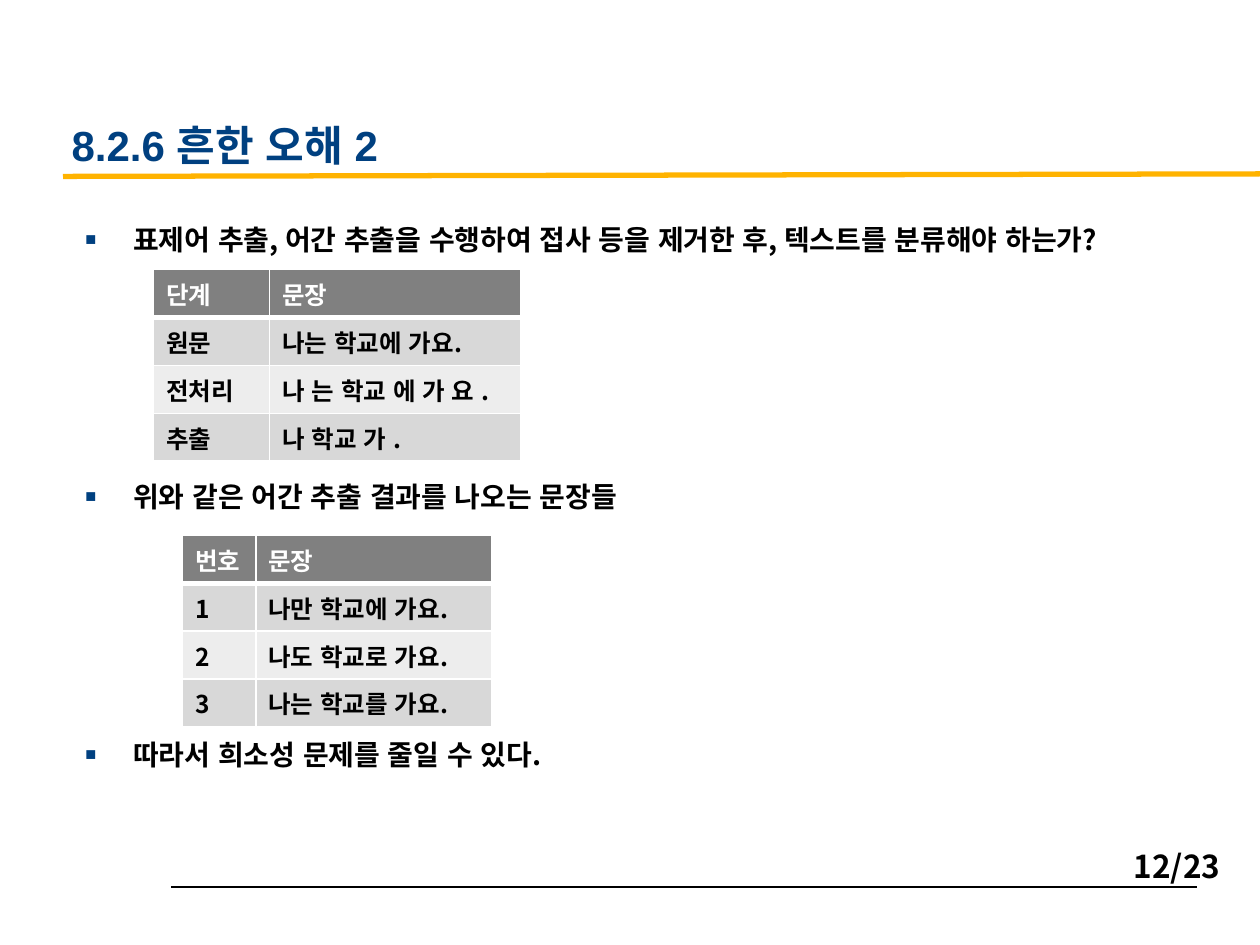
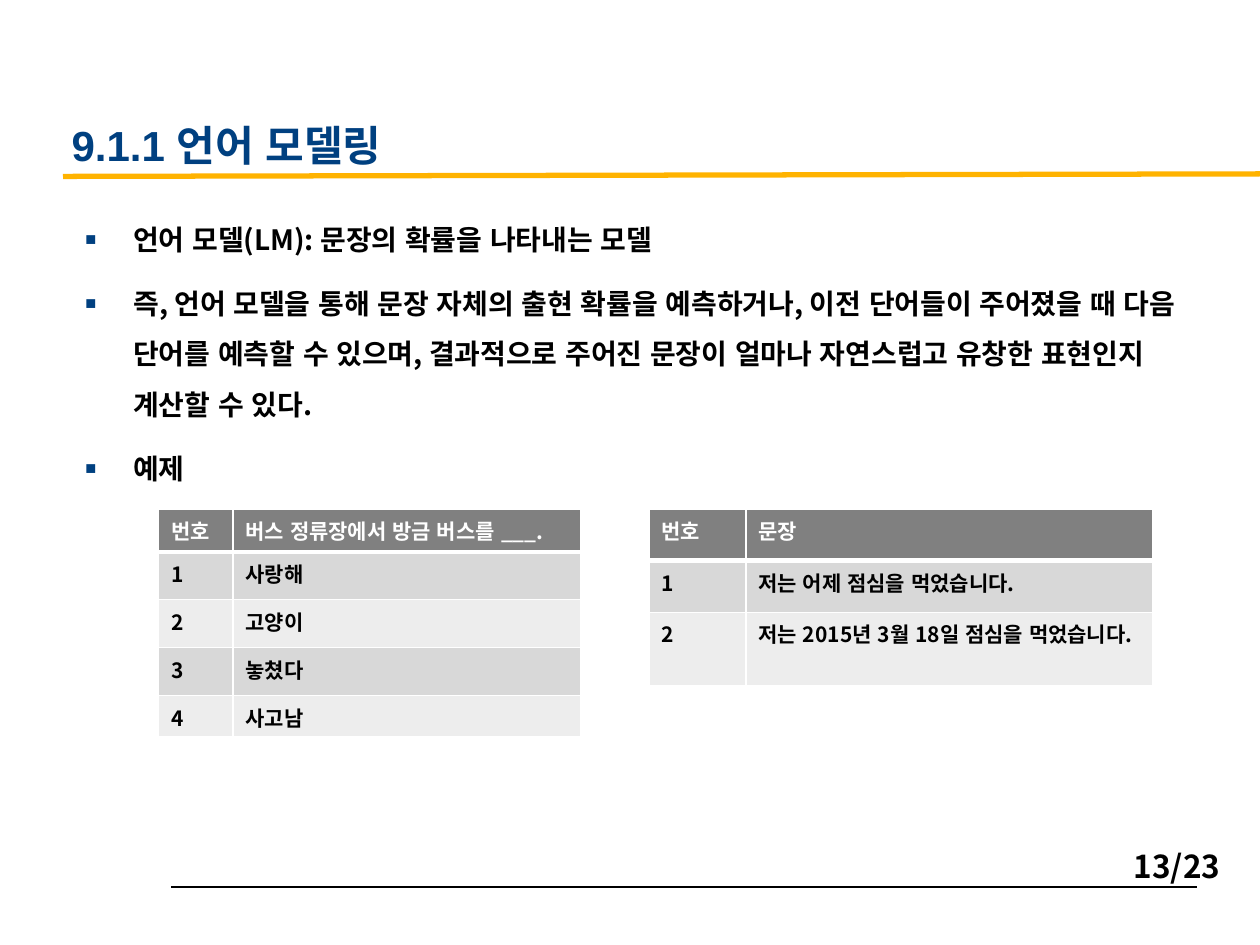
from dataclasses import dataclass

from lxml import etree
from pptx import Presentation
from pptx import util as u
from pptx.dml.color import RGBColor
from pptx.enum import lang, shapes, text
from pptx.oxml import ns

HUES = {
    "navy": "004080", "gold": "FFB300", "black": "000000", "white": "FFFFFF",
    "head": "808080", "dark": "D8D8D8", "light": "EDEDED",
}
SANS = "Noto Sans CJK KR"
TOTAL = 23


@dataclass
class Rule:
    start: tuple[float, float]
    end: tuple[float, float]
    hue: str
    width: float


@dataclass
class Grid:
    left: float
    top: float
    size: int
    cols: list[float]
    rows: list[float]
    cells: list[tuple[str, str]]


@dataclass
class Page:
    number: int
    title: str
    gap: float
    points: list[str]
    grids: list[Grid]


RULES = [
    Rule((1.36, 7.04), (9.5, 7.04), "black", 0.75),
    Rule((0.5, 1.4), (10, 1.38), "gold", 3),
]

PAGES = [
    Page(12, "8.2.6 흔한 오해 2", 118.5, [
        "표제어 추출, 어간 추출을 수행하여 접사 등을 제거한 후, 텍스트를 분류해야 하는가?",
        "위와 같은 어간 추출 결과를 나오는 문장들",
        "따라서 희소성 문제를 줄일 수 있다.",
    ], [
        Grid(1.22, 2.14, 14, [0.92, 1.99], [0.38] * 4, [
            ("단계", "문장"),
            ("원문", "나는 학교에 가요."),
            ("전처리", "나 는 학교 에 가 요 ."),
            ("추출", "나 학교 가 ."),
        ]),
        Grid(1.45, 4.25, 14, [0.58, 1.87], [0.38] * 4, [
            ("번호", "문장"),
            ("1", "나만 학교에 가요."),
            ("2", "나도 학교로 가요."),
            ("3", "나는 학교를 가요."),
        ]),
    ]),
    Page(13, "9.1.1 언어 모델링", 8, [
        "언어 모델(LM): 문장의 확률을 나타내는 모델",
        "즉, 언어 모델을 통해 문장 자체의 출현 확률을 예측하거나, 이전 단어들이 주어졌을 때 "
        "다음 단어를 예측할 수 있으며, 결과적으로 주어진 문장이 얼마나 자연스럽고 유창한 "
        "표현인지 계산할 수 있다.",
        "예제",
    ], [
        Grid(1.26, 4.04, 12, [0.59, 2.76], [0.34] + [0.38] * 3 + [0.33], [
            ("번호", "버스 정류장에서 방금 버스를 ___."),
            ("1", "사랑해"),
            ("2", "고양이"),
            ("3", "놓쳤다"),
            ("4", "사고남"),
        ]),
        Grid(5.15, 4.04, 12, [0.77, 3.23], [0.41, 0.41, 0.58], [
            ("번호", "문장"),
            ("1", "저는 어제 점심을 먹었습니다."),
            ("2", "저는 2015년 3월 18일 점심을 먹었습니다."),
        ]),
    ]),
]


def color(hue: str) -> RGBColor:
    return RGBColor.from_string(HUES[hue])


def add_tag(parent, name: str, **attrs: str):
    return etree.SubElement(parent, ns.qn(name), attrs)


def style(para, size: int, hue: str, face: str = SANS) -> None:
    for run in para.runs:
        font = run.font
        font.size, font.bold, font.name = u.Pt(size), True, face
        font.color.rgb = color(hue)
        font.language_id = lang.MSO_LANGUAGE_ID.KOREAN
        # Without kerning the spaces between words keep their full width
        font._element.set("kern", "0")
        add_tag(font._element, "a:ea", typeface=SANS)


def add_box(slide, left: float, top: float, width: float, height: float):
    box = slide.shapes.add_textbox(*map(u.Inches, (left, top, width, height)))
    box.text_frame.word_wrap = True
    return box.text_frame


def add_rule(slide, rule: Rule) -> None:
    ends = map(u.Inches, rule.start + rule.end)
    line = slide.shapes.add_connector(shapes.MSO_CONNECTOR.STRAIGHT, *ends)
    line.line.color.rgb = color(rule.hue)
    line.line.width = u.Pt(rule.width)
    add_tag(line._element.spPr, "a:effectLst")


def add_frame(slide, page: Page) -> None:
    """Draw the rules, page number and title that every slide has."""
    for rule in RULES:
        add_rule(slide, rule)
    foot = add_box(slide, 8.9, 6.67, 1.1, 0.4)
    foot.text = f"{page.number}/{TOTAL}"
    style(foot.paragraphs[0], 18, "black")
    head = add_box(slide, 0.47, 0.8, 8.3, 0.6)
    head.vertical_anchor = text.MSO_ANCHOR.BOTTOM
    head.text = page.title
    style(head.paragraphs[0], 24, "navy", "Arial")


def add_points(slide, page: Page) -> None:
    body = add_box(slide, 0.58, 1.58, 9.12, 4.92)
    body.text = "\n".join(page.points)
    for i, para in enumerate(body.paragraphs):
        para.line_spacing = 1.5
        para.space_before = u.Pt(page.gap if i else 8)
        style(para, 16, "black")
        # Square bullet with a hanging indent
        props = para._p.get_or_add_pPr()
        props.set("marL", str(u.Inches(0.38)))
        props.set("indent", str(-u.Inches(0.38)))
        add_tag(add_tag(props, "a:buClr"), "a:srgbClr", val=HUES["navy"])
        add_tag(props, "a:buSzPct", val="65000")
        add_tag(props, "a:buFont", typeface="Arial")
        add_tag(props, "a:buChar", char="■")


def add_edges(cell, top: float, base: float) -> None:
    props = cell._tc.get_or_add_tcPr()
    for side, width in zip("LRTB", (1, 1, top, base)):
        edge = add_tag(props, f"a:ln{side}", w=str(u.Pt(width)))
        fill = add_tag(edge, "a:solidFill")
        add_tag(fill, "a:srgbClr", val=HUES["white"])


def add_grid(slide, grid: Grid) -> None:
    area = (grid.left, grid.top, sum(grid.cols), sum(grid.rows))
    table = slide.shapes.add_table(
        len(grid.rows), len(grid.cols), *map(u.Inches, area)).table
    for col, width in zip(table.columns, grid.cols):
        col.width = u.Inches(width)
    for r, (row, height) in enumerate(zip(table.rows, grid.rows)):
        row.height = u.Inches(height)
        fill = "head" if r == 0 else "dark" if r % 2 else "light"
        for cell, words in zip(row.cells, grid.cells[r]):
            # A thick white edge parts the header from the rows
            add_edges(cell, 3 if r == 1 else 1, 3 if r == 0 else 1)
            cell.fill.solid()
            cell.fill.fore_color.rgb = color(fill)
            cell.text_frame.text = words
            style(cell.text_frame.paragraphs[0], grid.size,
                  "black" if r else "white")


def main() -> None:
    deck = Presentation()
    deck.slide_width, deck.slide_height = u.Inches(10), u.Inches(7.5)
    for page in PAGES:
        slide = deck.slides.add_slide(deck.slide_layouts[6])
        add_frame(slide, page)
        add_points(slide, page)
        for grid in page.grids:
            add_grid(slide, grid)
    deck.save("out.pptx")


if __name__ == "__main__":
    main()
